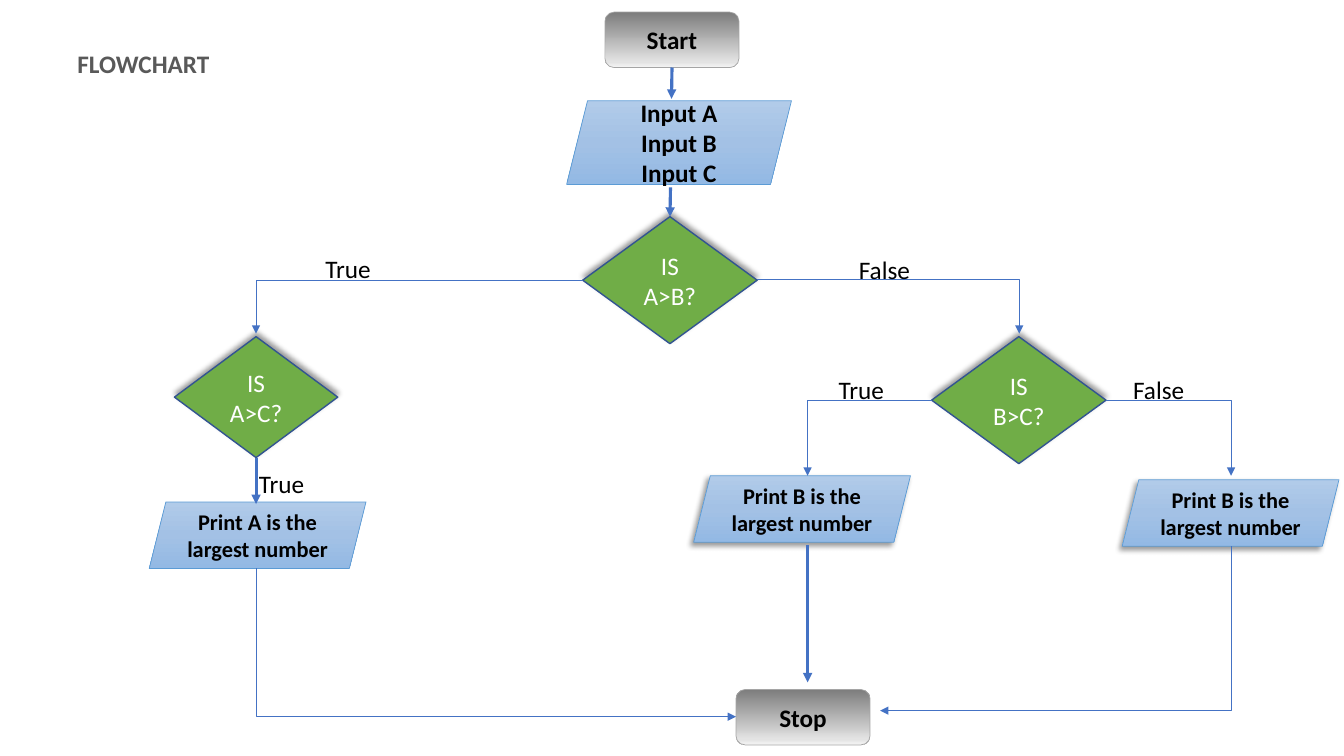
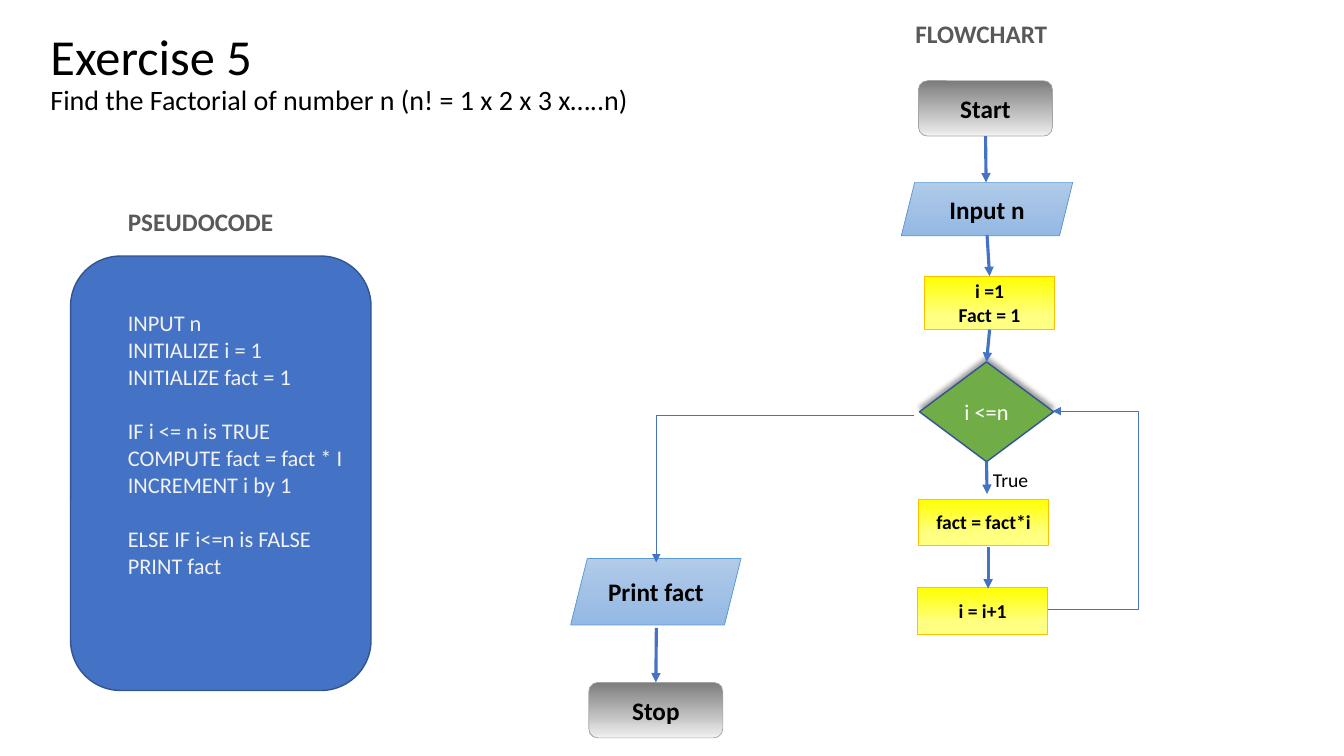
from dataclasses import dataclass

from lxml import etree
from pptx import Presentation
from pptx import util as u
from pptx.dml.color import RGBColor
from pptx.enum import shapes, text
from pptx.oxml.ns import qn

KIND = shapes.MSO_SHAPE
TOP, LEFT, BOTTOM, RIGHT = range(4)


@dataclass(frozen=True)
class Theme:
    font: str = "Calibri"
    black: str = "000000"
    white: str = "FFFFFF"
    heading: str = "595959"
    code: str = "F2F2F2"
    blue: str = "4472C4"
    outline: str = "325491"
    green: str = "70AD47"
    terminal_line: str = "A5A5A5"
    data_line: str = "5B9BD5"
    process_line: str = "FFC000"
    terminal_fill: tuple = ((0, "7C7C7C"), (90, "E3E3E3"), (100, "F4F4F4"))
    data_fill: tuple = ((0, "B1CBE9"), (50, "A3C1E5"), (100, "93B9E4"))
    process_fill: tuple = ((0, "FFFF00"), (74, "FFFF81"), (100, "FFFF81"))
    title: int = 36
    subtitle: int = 20
    body: int = 18
    small: int = 16
    tiny: int = 14
    thick: float = 2.25
    medium: float = 1
    thin: float = 0.5


THEME = Theme()


def rgb(value):
    return RGBColor.from_string(value)


def inches(*values):
    return [u.Inches(value) for value in values]


def write(frame, content, size=THEME.body, later_size=None, color=THEME.black,
          bold=False, align=text.PP_ALIGN.LEFT, anchor=text.MSO_ANCHOR.TOP,
          block_gap=0, line_spacing=None):
    frame.word_wrap = True
    frame.auto_size = text.MSO_AUTO_SIZE.NONE
    frame.vertical_anchor = anchor
    para = None
    for block_number, block in enumerate(content.split("\n\n")):
        for line_number, line in enumerate(block.split("\n")):
            first = para is None
            para = frame.paragraphs[0] if first else frame.add_paragraph()
            para.alignment = align
            para.line_spacing = line_spacing
            if block_number and not line_number:
                para.space_before = u.Pt(block_gap)
            span = para.add_run()
            span.text = line
            span.font.name = THEME.font
            span.font.size = u.Pt(size if first else later_size or size)
            span.font.bold = bold
            span.font.color.rgb = rgb(color)


def paint_gradient(shape, stops):
    shape.fill.gradient()
    shape.fill.gradient_angle = 270
    stop_list = shape.element.spPr.find(qn("a:gradFill")).find(qn("a:gsLst"))
    for old in list(stop_list):
        stop_list.remove(old)
    for position, color in stops:
        stop = etree.SubElement(stop_list, qn("a:gs"), pos=str(position * 1000))
        etree.SubElement(stop, qn("a:srgbClr"), val=color)


def cast_shadow(shape, degrees):
    effects = shape.element.spPr.find(qn("a:effectLst"))
    shadow = etree.SubElement(
        effects, qn("a:outerShdw"), blurRad=str(u.Pt(4)), dist=str(u.Pt(3)),
        dir=str(degrees * 60000), algn="ctr", rotWithShape="0")
    color = etree.SubElement(shadow, qn("a:srgbClr"), val=THEME.black)
    etree.SubElement(color, qn("a:alpha"), val="40000")


def block(page, kind, at, fill, line, width, content="", shadow=None, **style):
    shape = page.shapes.add_shape(kind, *inches(*at))
    if isinstance(fill, str):
        shape.fill.solid()
        shape.fill.fore_color.rgb = rgb(fill)
    else:
        paint_gradient(shape, fill)
    shape.line.color.rgb = rgb(line)
    shape.line.width = u.Pt(width)
    shape.shadow.inherit = False
    if shadow is not None:
        cast_shadow(shape, shadow)
    if content:
        write(shape.text_frame, content, align=text.PP_ALIGN.CENTER,
              anchor=text.MSO_ANCHOR.MIDDLE, **style)
    return shape


def terminal(page, left, top, content):
    return block(page, KIND.ROUNDED_RECTANGLE, (left, top, 1.33, 0.55),
                 THEME.terminal_fill, THEME.terminal_line, THEME.thin,
                 content, bold=True)


def data(page, at, content, size=THEME.body, shadow=None):
    return block(page, KIND.PARALLELOGRAM, at, THEME.data_fill, THEME.data_line,
                 THEME.thin, content, shadow, size=size, bold=True)


def result(page, left, top, content, shadow=None):
    return data(page, (left, top, 2.15, 0.66), content, THEME.small, shadow)


def process(page, left, top, height, content):
    return block(page, KIND.RECTANGLE, (left, top, 1.29, height),
                 THEME.process_fill, THEME.process_line, THEME.thin,
                 content, size=THEME.tiny, bold=True)


def decision(page, at, content, size=THEME.body):
    return block(page, KIND.DIAMOND, at, THEME.green, THEME.outline,
                 THEME.medium, content, 270, size=size, color=THEME.white)


def label(page, at, content, **style):
    box = page.shapes.add_textbox(*inches(*at))
    write(box.text_frame, content, **style)


def heading(page, left, top, content):
    label(page, (left, top, 1.7, 0.4), content, color=THEME.heading, bold=True)


def connect(page, kind, start, end, width):
    line = page.shapes.add_connector(kind, *inches(*start, *end))
    line.line.color.rgb = rgb(THEME.blue)
    line.line.width = u.Pt(width)
    etree.SubElement(line.line._get_or_add_ln(), qn("a:tailEnd"), type="triangle")
    etree.SubElement(line.element.spPr, qn("a:effectLst"))
    return line


def arrow(page, start, end, source=None, target=None):
    line = connect(page, shapes.MSO_CONNECTOR.STRAIGHT, start, end, THEME.thick)
    if source is not None:
        line.begin_connect(source, BOTTOM)
    if target is not None:
        line.end_connect(target, TOP)


def elbow(page, start, end, bend):
    line = connect(page, shapes.MSO_CONNECTOR.ELBOW, start, end, THEME.thin)
    share = (bend - start[0]) / (end[0] - start[0])
    guides = line.element.spPr.find(qn("a:prstGeom")).find(qn("a:avLst"))
    etree.SubElement(guides, qn("a:gd"), name="adj1",
                     fmla=f"val {round(share * 100000)}")


def add_page(deck, title=None):
    page = deck.slides.add_slide(deck.slide_layouts[5 if title else 6])
    if title:
        holder = page.shapes.title
        holder.left, holder.top, holder.width, holder.height = inches(0.4, 0.27, 6.03, 1.1)
        write(holder.text_frame, title, size=THEME.title,
              later_size=THEME.subtitle, line_spacing=0.9)
    return page


def largest_number(deck):
    page = add_page(deck)
    heading(page, 0.67, 0.43, "FLOWCHART")
    start = terminal(page, 6, 0.12, "Start")
    terminal(page, 7.3, 6.84, "Stop")
    data(page, (5.62, 1, 2.23, 0.83), "Input A\nInput B\nInput C")
    result(page, 1.48, 4.98, "Print A is the largest number")
    for left, top in ((6.88, 4.72), (11.13, 4.76)):
        result(page, left, top, "Print B is the largest number", 135)

    a_over_b = decision(page, (5.78, 2.15, 1.73, 1.26), "IS A>B?")
    a_over_c = decision(page, (1.73, 3.34, 1.62, 1.2), "IS A>C?")
    decision(page, (9.24, 3.34, 1.73, 1.26), "IS B>C?")

    arrow(page, (6.67, 0.69), (6.66, 0.98), source=start)
    arrow(page, (6.65, 1.86), (6.65, 2.14), target=a_over_b)
    arrow(page, (2.54, 4.55), (2.54, 5), source=a_over_c)
    arrow(page, (8.01, 5.41), (8.01, 6.77))
    for start_point, end_point in (
            ((5.78, 2.78), (2.54, 3.31)), ((7.51, 2.77), (10.11, 3.31)),
            ((9.24, 3.97), (8.01, 4.72)), ((10.97, 3.97), (12.21, 4.72))):
        elbow(page, start_point, end_point, end_point[0])
    for start_point, end_point in (
            ((2.54, 5.64), (7.3, 7.11)), ((12.21, 5.42), (8.73, 7.05))):
        elbow(page, start_point, end_point, start_point[0])

    for left, top, answer in (
            (3.13, 2.46, "True"), (2.47, 4.6, "True"), (8.22, 3.66, "True"),
            (8.42, 2.47, "False"), (11.14, 3.66, "False")):
        label(page, (left, top, 1.2, 0.4), answer)


def factorial(deck):
    page = add_page(deck, "Exercise 5\nFind the Factorial of number n (n! = 1 x 2 x 3 x…..n)")
    heading(page, 1.17, 2, "PSEUDOCODE")
    heading(page, 8.98, 0.13, "FLOWCHART")
    block(page, KIND.ROUNDED_RECTANGLE, (0.7, 2.54, 2.98, 4.31),
          THEME.blue, THEME.outline, THEME.medium)
    label(page, (1.17, 3.02, 3.14, 3.2),
          "INPUT n\nINITIALIZE i = 1\nINITIALIZE fact = 1\n\n"
          "IF i <= n is TRUE\nCOMPUTE fact = fact * I\nINCREMENT i by 1\n\n"
          "ELSE IF i<=n is FALSE\nPRINT fact",
          size=THEME.small, color=THEME.code, block_gap=19.5)

    start = terminal(page, 9.11, 0.8, "Start")
    stop = terminal(page, 5.84, 6.77, "Stop")
    data(page, (8.94, 1.81, 1.7, 0.53), "Input n")
    data(page, (5.66, 5.54, 1.69, 0.66), "Print fact")
    setup = process(page, 9.17, 2.74, 0.53, "i =1\nFact = 1")
    process(page, 9.11, 4.95, 0.46, "fact = fact*i")
    process(page, 9.1, 5.83, 0.46, "i = i+1")
    check = decision(page, (9.12, 3.59, 1.33, 0.99), "i <=n", THEME.small)

    arrow(page, (9.78, 1.33), (9.78, 1.81), source=start)
    arrow(page, (9.79, 2.33), (9.79, 2.73), target=setup)
    arrow(page, (9.79, 3.27), (9.79, 3.58), source=setup, target=check)
    arrow(page, (9.78, 4.57), (9.79, 4.9), source=check)
    arrow(page, (9.8, 5.43), (9.8, 5.84))
    arrow(page, (6.51, 6.23), (6.51, 6.76), target=stop)
    elbow(page, (10.39, 6.05), (10.44, 4.08), 11.29)
    elbow(page, (9.07, 4.12), (6.51, 5.58), 6.51)
    label(page, (9.75, 4.59, 0.83, 0.34), "True", size=THEME.tiny)


def main():
    deck = Presentation()
    deck.slide_width, deck.slide_height = inches(13.33, 7.5)
    largest_number(deck)
    factorial(deck)
    deck.save("out.pptx")


if __name__ == "__main__":
    main()
